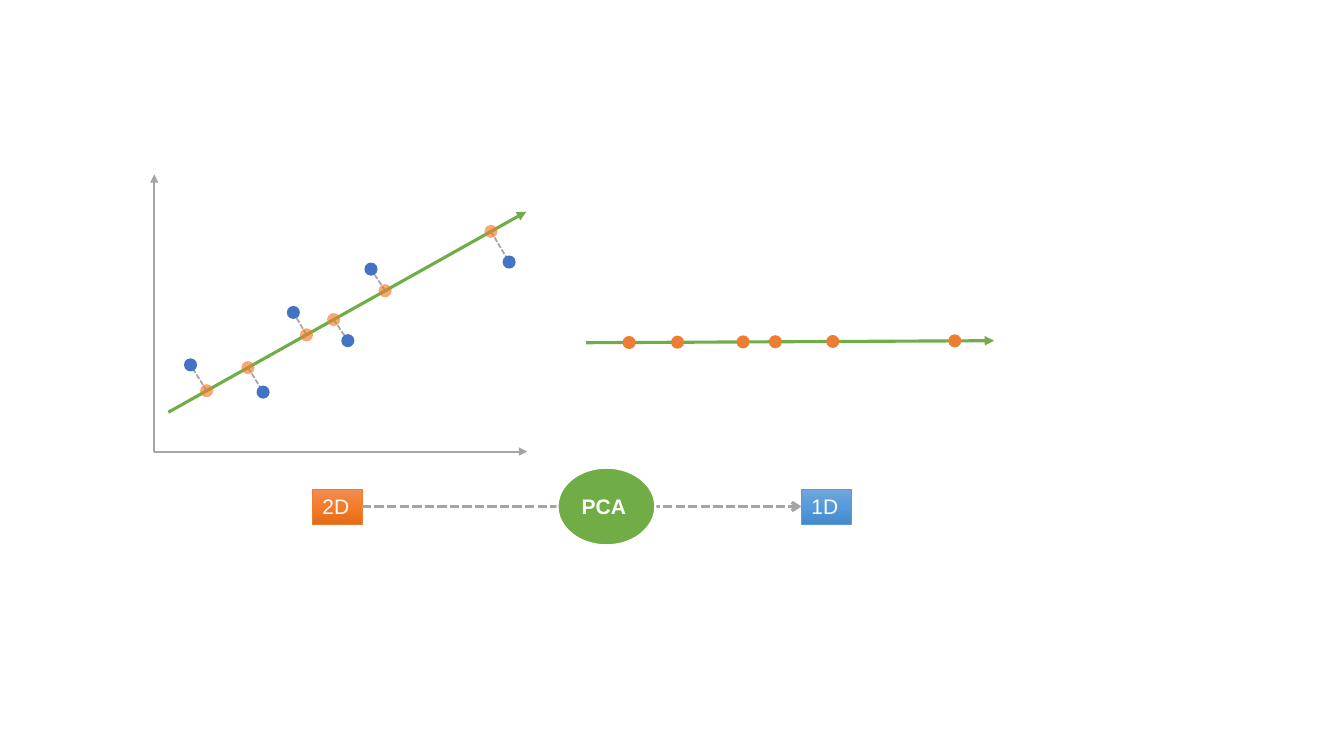
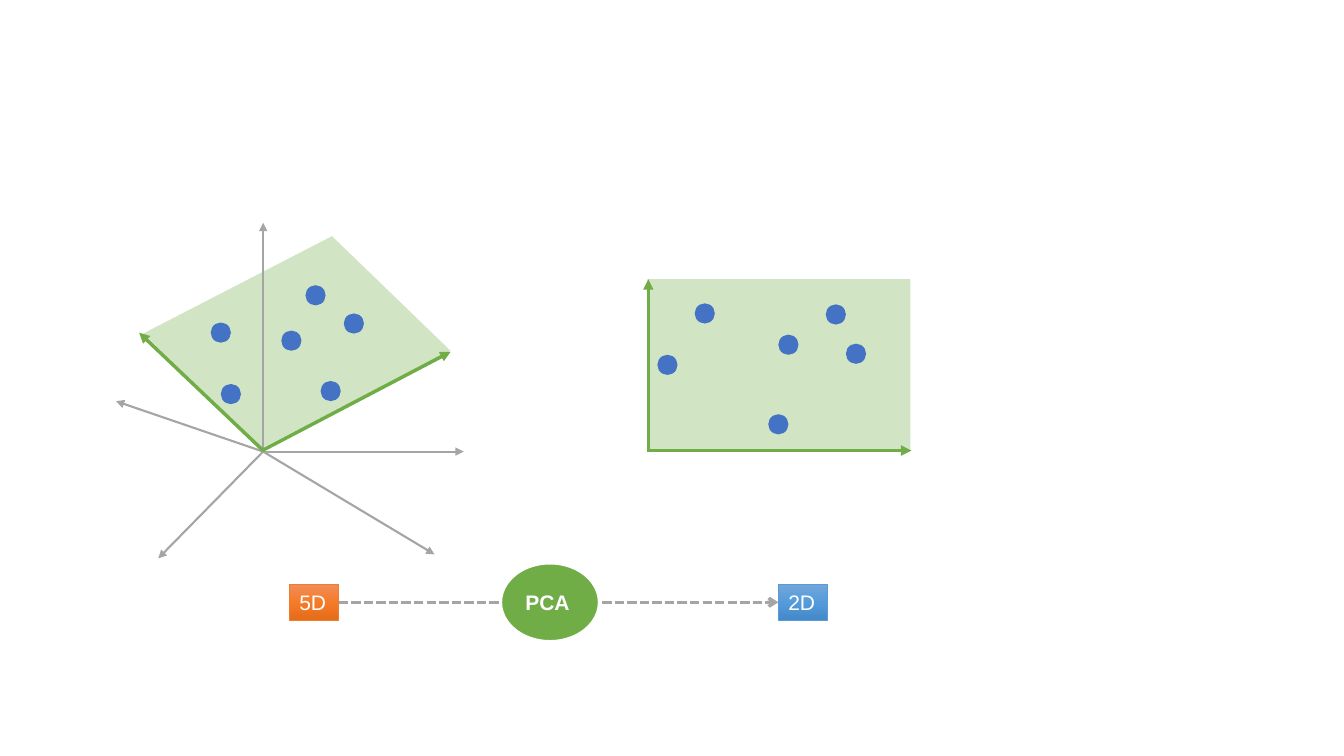
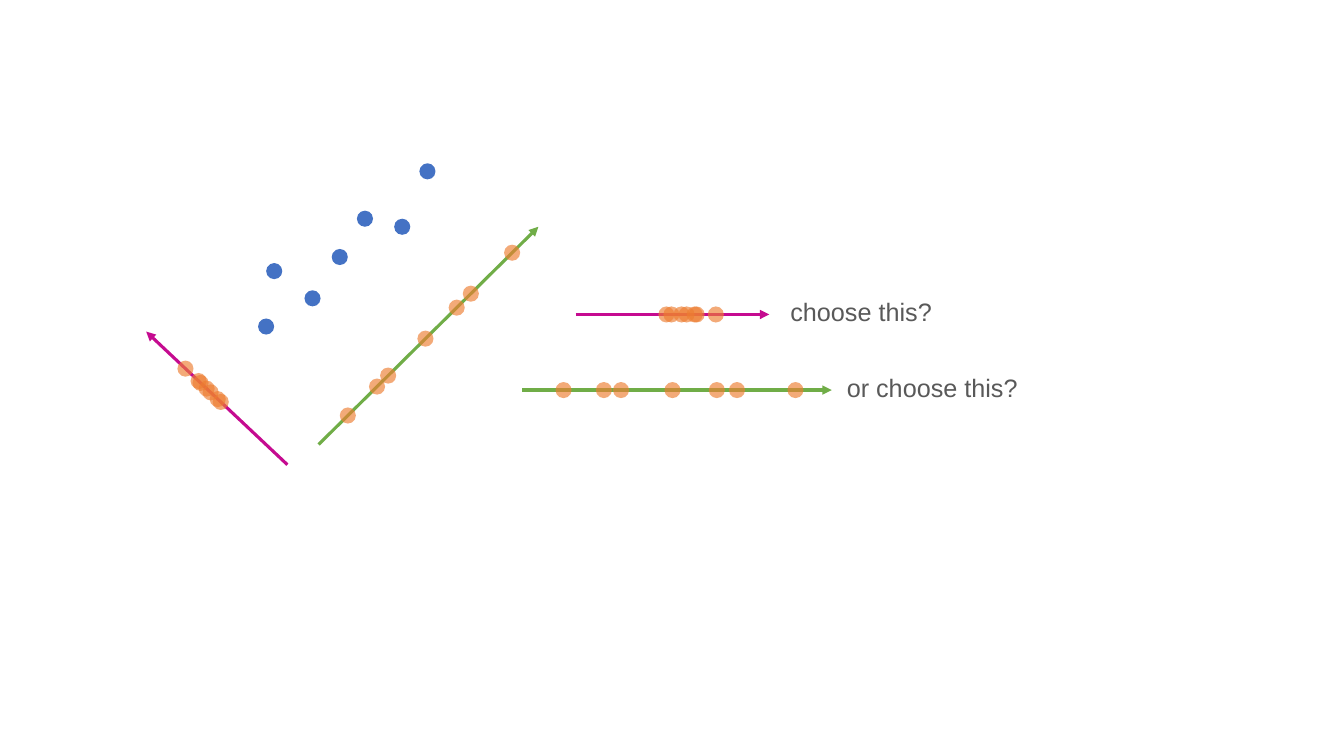
"""Build three slides that explain principal component analysis with points and axes."""
from copy import deepcopy

from lxml import etree
from pptx import Presentation
from pptx.dml.color import RGBColor
from pptx.enum import dml, shapes, text
from pptx.oxml import ns
from pptx.util import Inches, Pt

WHITE = RGBColor(0xFF, 0xFF, 0xFF)
GREY = RGBColor(0xA5, 0xA5, 0xA5)
DASH_GREY = RGBColor(0xA6, 0xA6, 0xA6)
TEXT_GREY = RGBColor(0x59, 0x59, 0x59)
BLUE = RGBColor(0x44, 0x72, 0xC4)
ORANGE = RGBColor(0xED, 0x7D, 0x31)
GREEN = RGBColor(0x70, 0xAD, 0x47)
PURPLE = RGBColor(0xC5, 0x0B, 0x90)
LIGHT_BLUE = RGBColor(0x5B, 0x9B, 0xD5)
ORANGE_BLEND = [RGBColor(0xF1, 0x8C, 0x57), RGBColor(0xF6, 0x7B, 0x28), RGBColor(0xE5, 0x6C, 0x19)]
BLUE_BLEND = [RGBColor(0x71, 0xA6, 0xDB), RGBColor(0x55, 0x9B, 0xDB), RGBColor(0x44, 0x8A, 0xCA)]

FONT = "Arial"
OVAL = shapes.MSO_SHAPE.OVAL
RECTANGLE = shapes.MSO_SHAPE.RECTANGLE
DOT_OPACITY, PLANE_OPACITY = 65, 32
BOX_WIDTH, BOX_HEIGHT, BOX_STEP = 0.49, 0.35, 4.85
PCA_WIDTH, PCA_HEIGHT = 0.97, 0.77

LINE_FIT = {
    "dot": 0.13,
    "origin": (1.53, 4.48),
    "axis_tips": [(1.53, 1.73), (5.23, 4.48)],
    "component": ((1.67, 4.09), (5.22, 2.1)),
    "samples": [(1.89, 3.62), (2.61, 3.89), (2.91, 3.1), (3.45, 3.38), (3.68, 2.67), (5.05, 2.6)],
    "projected_x": [2.05, 2.46, 3.04, 3.31, 3.82, 4.87],
    "reduced": ((5.81, 3.4), (9.86, 3.38)),
    "reduced_x": [6.24, 6.72, 7.37, 7.69, 8.26, 9.47],
    "flow": ("2D", "1D", 3.1, 4.85, 5.53),
}
PLANE_FIT = {
    "dot": 0.2,
    "origin": (2.61, 4.48),
    "axis_tips": [(2.61, 2.21), (4.6, 4.48), (4.31, 5.5), (1.15, 3.98), (1.57, 5.54)],
    "space_dots": [(2.19, 3.3), (2.29, 3.91), (2.89, 3.38), (3.28, 3.88), (3.13, 2.93), (3.51, 3.21)],
    "space_edges": [((2.61, 4.47), (1.38, 3.3)), ((2.6, 4.47), (4.47, 3.49))],
    "plane_edges": [((6.42, 4.47), (9.04, 4.47)), ((6.43, 4.48), (6.43, 2.77))],
    "plane_dots": [(6.62, 3.62), (6.99, 3.11), (7.82, 3.42), (7.72, 4.21), (8.29, 3.12), (8.49, 3.51)],
    "flow": ("5D", "2D", 2.87, 5.8, 4.97),
}
CHOICE = {
    "dot": 0.16,
    "samples": [(2.72, 2.69), (3.37, 2.55), (3.62, 2.17), (3.99, 2.25), (2.64, 3.24), (3.1, 2.96), (4.24, 1.7)],
    "projections": [
        (PURPLE, (2.85, 4.61), (1.45, 3.29), [1.84, 1.97, 2.05, 2.09, 2.19, 2.16, 1.99]),
        (GREEN, (3.16, 4.41), (5.34, 2.25), [3.45, 3.74, 3.85, 4.22, 4.53, 4.67, 5.08]),
        (PURPLE, (5.71, 3.12), (7.63, 3.12), [7.1, 6.91, 6.81, 6.76, 6.61, 6.66, 6.89]),
        (GREEN, (5.18, 3.87), (8.25, 3.87), [5.59, 5.99, 6.16, 6.67, 7.11, 7.31, 7.89]),
    ],
    "questions": [("choose this?", 7.74, 2.89, 1.62), ("or choose this?", 8.3, 3.64, 1.92)],
}


def add_figure(parent, kind, left, top, width, height, color=None, opacity=100):
    """Add a borderless preset shape with an optional solid fill."""
    figure = parent.add_shape(kind, Inches(left), Inches(top), Inches(width), Inches(height))
    figure.shadow.inherit = False
    figure.line.fill.background()
    if color is not None:
        figure.fill.solid()
        figure.fill.fore_color.rgb = color
    if opacity < 100:
        tint = figure._element.spPr.find(f".//{ns.qn('a:srgbClr')}")
        etree.SubElement(tint, ns.qn("a:alpha"), val=str(opacity * 1000))
    return figure


def add_dots(parent, centers, size, color, opacity=100):
    """Add one round dot at each center."""
    for x, y in centers:
        add_figure(parent, OVAL, x - size / 2, y - size / 2, size, size, color, opacity)


def add_line(parent, start, tip, color, width, head=None, dashed=False):
    """Add a straight line, with an arrowhead at its tip if one is named."""
    ends = [Inches(value) for value in (*start, *tip)]
    line = parent.add_connector(shapes.MSO_CONNECTOR.STRAIGHT, *ends)
    line.line.color.rgb = color
    line.line.width = Pt(width)
    if dashed:
        line.line.dash_style = dml.MSO_LINE.SQUARE_DOT
    if head:
        etree.SubElement(line.line._get_or_add_ln(), ns.qn("a:tailEnd"), type=head)
    etree.SubElement(line._element.spPr, ns.qn("a:effectLst"))
    return line


def along(start, tip, xs):
    """Return the points of the line from start to tip at the given x values."""
    slope = (tip[1] - start[1]) / (tip[0] - start[0])
    return [(x, start[1] + slope * (x - start[0])) for x in xs]


def write(holder, words, size, color, bold=False):
    """Write one unwrapped line of text."""
    frame = holder.text_frame
    frame.text = words
    frame.word_wrap = False
    font = frame.paragraphs[0].runs[0].font
    font.name, font.size, font.bold = FONT, Pt(size), bold
    font.color.rgb = color


def add_box(parent, label, left, top, blend, border):
    """Add a dimension box with a vertical three-colour gradient."""
    box = add_figure(parent, RECTANGLE, left, top, BOX_WIDTH, BOX_HEIGHT)
    box.fill.gradient()
    box.fill.gradient_angle = 270
    stop_list = box._element.spPr.find(f".//{ns.qn('a:gsLst')}")
    stop_list.append(deepcopy(stop_list[-1]))
    for stop, color, position in zip(box.fill.gradient_stops, blend, (0, 0.5, 1)):
        stop.color.rgb = color
        stop.position = position
    box.line.color.rgb = border
    box.line.width = Pt(0.5)
    write(box, label, 15, WHITE)
    return box


def add_flow(parent, before, after, left, top, pca_left):
    """Add the dashed arrow from one dimension to the other through PCA."""
    source = add_box(parent, before, left, top, ORANGE_BLEND, ORANGE)
    target = add_box(parent, after, left + BOX_STEP, top, BLUE_BLEND, LIGHT_BLUE)
    middle = top + BOX_HEIGHT / 2
    arrow = add_line(parent, (left + BOX_WIDTH, middle), (left + BOX_STEP, middle), GREY, 2.25, "arrow", True)
    arrow.begin_connect(source, 3)
    arrow.end_connect(target, 1)
    pca = add_figure(parent, OVAL, pca_left, middle - PCA_HEIGHT / 2, PCA_WIDTH, PCA_HEIGHT, GREEN)
    pca.line.color.rgb = WHITE
    pca.line.width = Pt(1.5)
    write(pca, "PCA", 15, WHITE, True)


def add_axes(parent, origin, tips):
    """Add the grey coordinate axes."""
    for tip in tips:
        add_line(parent, origin, tip, GREY, 1.5, "triangle")


def add_projection(parent, color, start, tip, xs, size, opacity=100):
    """Add a grouped component axis with the points that lie on it."""
    group = parent.add_group_shape().shapes
    add_line(group, start, tip, color, 2.25, "triangle")
    add_dots(group, along(start, tip, xs), size, ORANGE, opacity)


def build_line_fit(parent, data):
    """Show points in a plane projected to one line."""
    projected = along(*data["component"], data["projected_x"])
    for ends in zip(projected, data["samples"]):
        add_line(parent, *ends, DASH_GREY, 1.25, dashed=True)
    add_axes(parent, data["origin"], data["axis_tips"])
    add_line(parent, *data["component"], GREEN, 2.25, "triangle")
    add_dots(parent, data["samples"], data["dot"], BLUE)
    add_dots(parent, projected, data["dot"], ORANGE, DOT_OPACITY)
    add_projection(parent, GREEN, *data["reduced"], data["reduced_x"], data["dot"])
    add_flow(parent, *data["flow"])


def build_plane_fit(parent, data):
    """Show points in five dimensions reduced to a plane."""
    add_figure(parent, RECTANGLE, 6.42, 2.77, 2.61, 1.69, GREEN, PLANE_OPACITY)
    plane = add_figure(parent, shapes.MSO_SHAPE.PARALLELOGRAM, 1.63, 2.62, 2.63, 1.55, GREEN, PLANE_OPACITY)
    plane.adjustments[0] = 0.338
    plane.rotation = 332.7
    plane._element.spPr.xfrm.set("flipH", "1")
    add_axes(parent, data["origin"], data["axis_tips"])
    add_dots(parent, data["space_dots"], data["dot"], BLUE)
    for edge in data["space_edges"] + data["plane_edges"]:
        add_line(parent, *edge, GREEN, 2.5, "triangle")
    add_dots(parent, data["plane_dots"], data["dot"], BLUE)
    add_flow(parent, *data["flow"])


def build_choice(parent, data):
    """Show two candidate components and ask which one to choose."""
    add_dots(parent.add_group_shape().shapes, data["samples"], data["dot"], BLUE)
    for projection in data["projections"]:
        add_projection(parent, *projection, data["dot"], DOT_OPACITY)
    for words, left, top, width in data["questions"]:
        question = parent.add_textbox(Inches(left), Inches(top), Inches(width), Inches(0.4))
        write(question, words, 18, TEXT_GREY)
        question.text_frame.auto_size = text.MSO_AUTO_SIZE.SHAPE_TO_FIT_TEXT


def main():
    """Build and save the presentation."""
    deck = Presentation()
    deck.slide_width, deck.slide_height = Inches(13.33), Inches(7.5)
    for build, data in ((build_line_fit, LINE_FIT), (build_plane_fit, PLANE_FIT), (build_choice, CHOICE)):
        build(deck.slides.add_slide(deck.slide_layouts[6]).shapes, data)
    deck.save("out.pptx")


if __name__ == "__main__":
    main()
